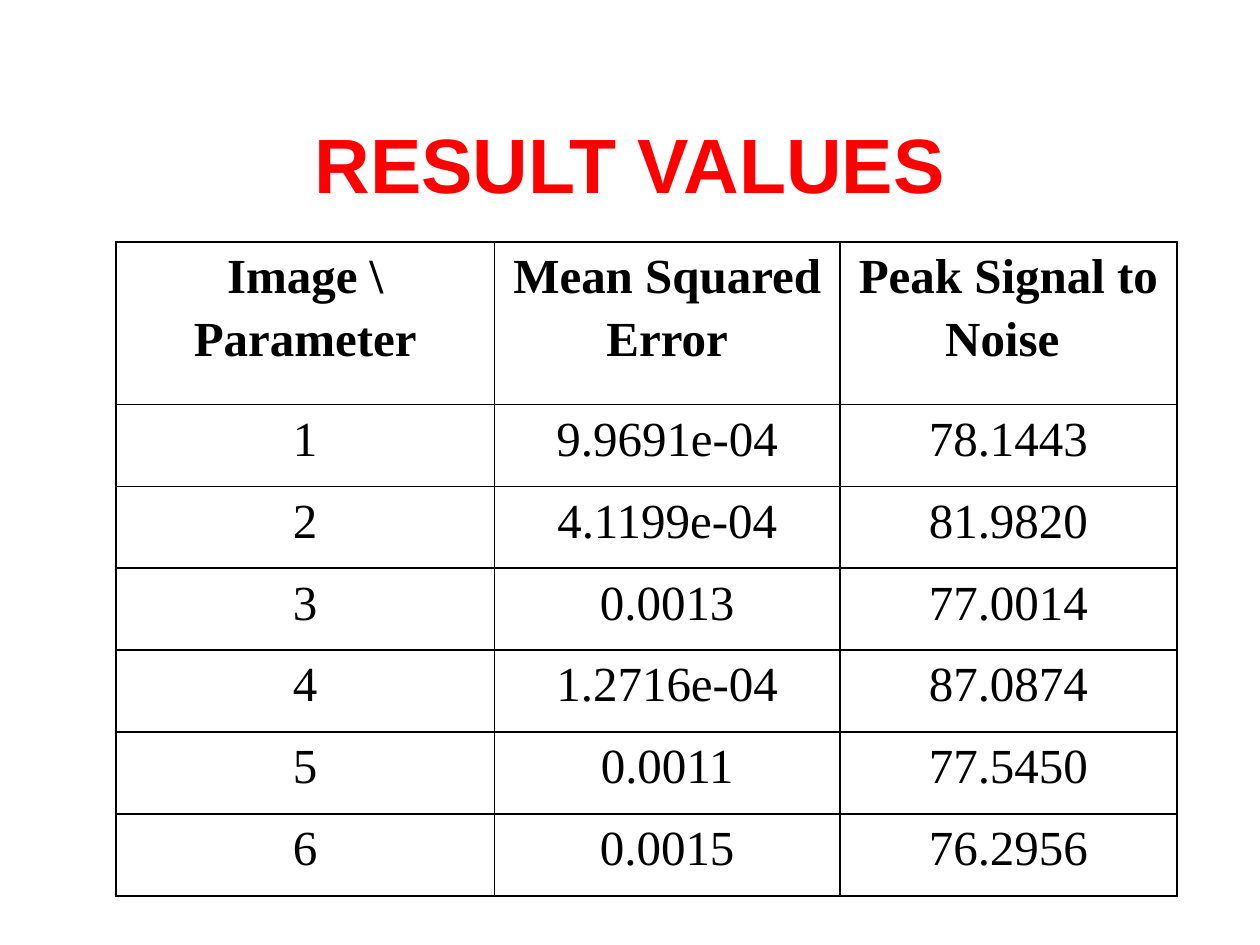
from lxml import etree
from pptx import Presentation
from pptx.dml.color import RGBColor
from pptx.enum.text import MSO_ANCHOR, PP_ALIGN
from pptx.oxml.ns import qn
from pptx.util import Inches, Pt

RED = RGBColor(0xFF, 0x00, 0x00)
BLACK = RGBColor(0x00, 0x00, 0x00)
CENTER = PP_ALIGN.CENTER
MIDDLE, TOP = MSO_ANCHOR.MIDDLE, MSO_ANCHOR.TOP
TITLE_ONLY = 5

TITLE_FONT = {"name": "Arial", "size": Pt(44), "bold": True}
HEADER_FONT = {"name": "Times New Roman", "size": Pt(28), "bold": True}
VALUE_FONT = {**HEADER_FONT, "bold": False}
CELL_FORMAT = {
    "margin_left": Inches(0.07), "margin_right": Inches(0.07),
    "margin_top": 0, "margin_bottom": 0, "vertical_anchor": TOP,
}

RESULTS = [
    ("Image \\ Parameter", "Mean Squared Error", "Peak Signal to Noise "),
    ("1", "9.9691e-04", "78.1443"),
    ("2", "4.1199e-04", "81.9820"),
    ("3", "0.0013", "77.0014"),
    ("4", "1.2716e-04", "87.0874"),
    ("5", "0.0011", "77.5450"),
    ("6", "0.0015", "76.2956"),
]
COLUMN_WIDTHS = (3, 2.74, 2.67)
HEADER_HEIGHT, VALUE_HEIGHT = 1.29, 0.65


def set_all(target, values):
    for attribute, value in values.items():
        setattr(target, attribute, value)


def write_text(paragraph, text, font, color):
    paragraph.alignment = CENTER
    run = paragraph.add_run()
    run.text = text
    set_all(run.font, font)
    run.font.color.rgb = color


def add_borders(cell, color, width):
    """Draw a solid line on all four sides of a cell."""
    properties = cell._tc.get_or_add_tcPr()
    for position, side in enumerate(("a:lnL", "a:lnR", "a:lnT", "a:lnB")):
        line = etree.Element(qn(side), w=str(width))
        fill = etree.SubElement(line, qn("a:solidFill"))
        etree.SubElement(fill, qn("a:srgbClr"), val=str(color))
        properties.insert(position, line)


def place_title(slide, left, top, width, height):
    title = slide.shapes.title
    set_all(title, {"left": Inches(left), "top": Inches(top),
                    "width": Inches(width), "height": Inches(height)})
    title.text_frame.vertical_anchor = MIDDLE
    write_text(title.text_frame.paragraphs[0], "RESULT VALUES", TITLE_FONT, RED)


def place_results(slide, left, top, width, height):
    table = slide.shapes.add_table(
        len(RESULTS), len(COLUMN_WIDTHS),
        Inches(left), Inches(top), Inches(width), Inches(height)).table
    table.horz_banding = False

    # Column widths share out the box
    for column, share in zip(table.columns, COLUMN_WIDTHS):
        column.width = Inches(width * share / sum(COLUMN_WIDTHS))

    # Header row, then one row for each image
    for index, (row, texts) in enumerate(zip(table.rows, RESULTS)):
        is_header = index == 0
        row.height = Inches(HEADER_HEIGHT if is_header else VALUE_HEIGHT)
        for cell, text in zip(row.cells, texts):
            set_all(cell, CELL_FORMAT)
            cell.fill.background()
            add_borders(cell, BLACK, Pt(1))
            paragraph = cell.text_frame.paragraphs[0]
            paragraph.line_spacing = 1.15
            write_text(paragraph, text,
                       HEADER_FONT if is_header else VALUE_FONT, BLACK)


presentation = Presentation()
presentation.slide_width, presentation.slide_height = Inches(10), Inches(7.5)
results_slide = presentation.slides.add_slide(
    presentation.slide_layouts[TITLE_ONLY])
place_title(results_slide, 0.5, 0.67, 9, 1.25)
place_results(results_slide, 0.92, 1.92, 8.42, 5.17)
presentation.save("out.pptx")
